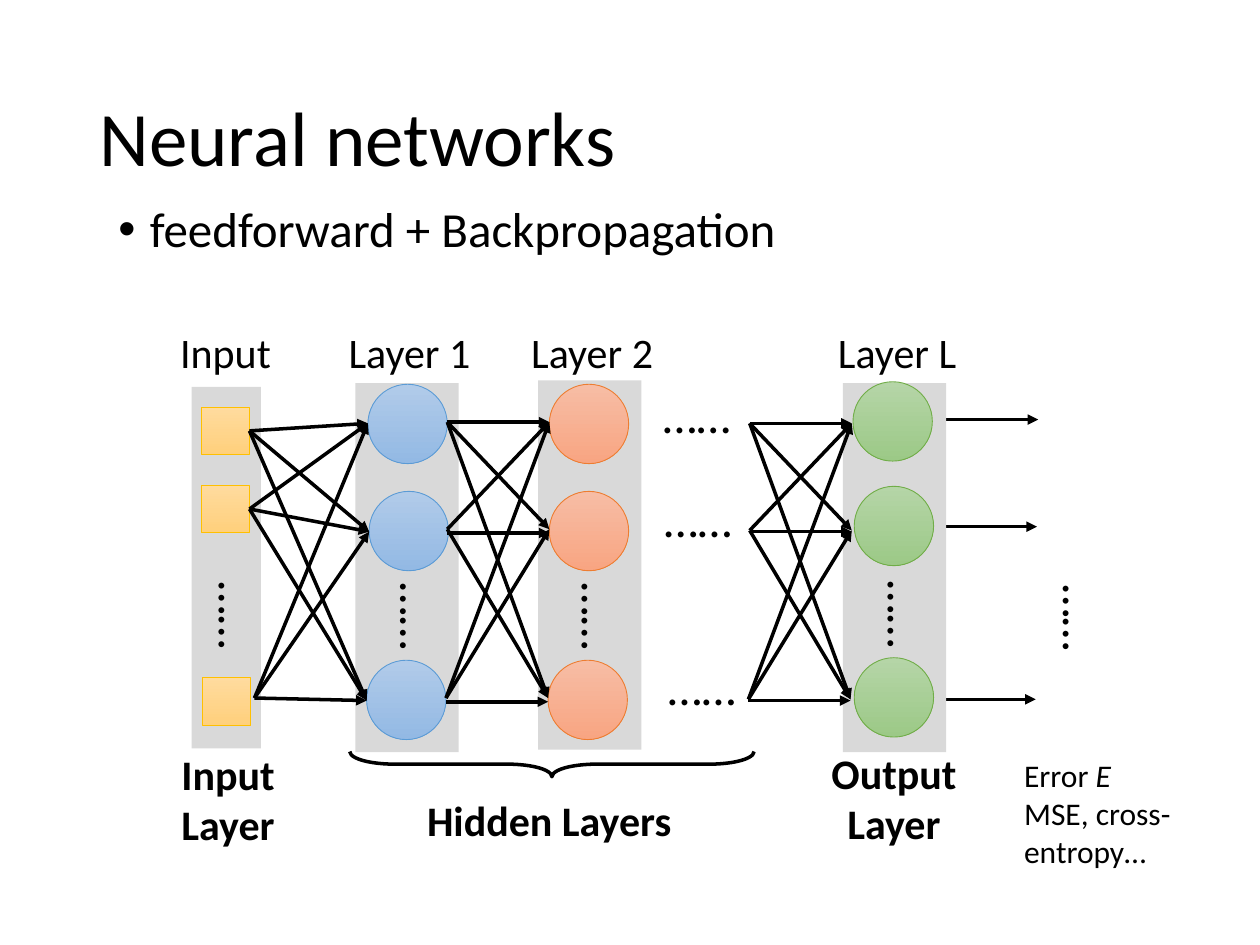
"""Build a slide that shows a layered feedforward neural network."""
from dataclasses import dataclass
from itertools import product
from typing import Optional

from lxml import etree
from pptx import Presentation
from pptx import util as u
from pptx.dml.color import RGBColor
from pptx.enum import shapes, text
from pptx.oxml.ns import qn

COLUMNS, ROWS = 100, 75
BLACK, BAND = "000000", "D9D9D9"
ARROW_WIDTH = 2
NODE, SQUARE = 6.3, 3.8
BAND_WIDTH, BAND_HEIGHT = 8.2, 29.3
LABEL_TOP, LABEL_WIDTH, LABEL_HEIGHT = 25.4, 12.4, 5
DOTS_WIDTH, DOTS_HEIGHT = 8.4, 5.7

presentation = Presentation()
presentation.slide_width, presentation.slide_height = u.Inches(10), u.Inches(7.5)
slide = presentation.slides.add_slide(presentation.slide_layouts[1])


@dataclass(frozen=True)
class Palette:
    """Gradient ends and outline of one kind of node."""
    top: str
    bottom: str
    line: str


@dataclass(frozen=True)
class Layer:
    """A band of round nodes with a heading."""
    name: str
    left: float
    top: float
    nodes: tuple
    dots_top: float
    palette: Palette


@dataclass(frozen=True)
class Fan:
    """Arrows from every start to every end; level ones sit lower by drop."""
    starts: tuple
    ends: tuple
    drop: float = 0
    squares: tuple = ()


@dataclass(frozen=True)
class Caption:
    """A text box on the grid."""
    words: str
    box: tuple
    size: int = 24
    bold: bool = False
    rotation: int = 0


YELLOW = Palette("FFDB9E", "FFD07C", "FFC000")
BLUE = Palette("B1CBE9", "93B9E4", "5B9BD5")
ORANGE = Palette("F7BDA5", "F8A582", "ED7D31")
GREEN = Palette("B5D5A7", "9CC987", "70AD47")

LAYERS = (
    Layer("Layer 1", 28.2, 30.4, ((29.2, 30.5), (29.3, 39), (29.1, 52.4)), 46.1, BLUE),
    Layer("Layer 2", 42.7, 30.2, ((43.6, 30.5), (43.6, 39), (43.5, 52.4)), 46.1, ORANGE),
    Layer("Layer L", 66.9, 30.4, ((67.7, 30.3), (67.8, 38.6), (67.8, 52.2)), 45.9, GREEN),
)
INPUTS = ((16, 32.3), (16, 38.5), (16.1, 53.8))
OUTPUTS = (((71.1, 41.8), (82.3, 41.8)), ((72.3, 55.5), (82.2, 55.5)),
           ((70.9, 33.3), (82.4, 33.3)))
HIDDEN_FANS = (
    Fan(((35.5, 33.5), (35.5, 42), (35.4, 55.4)), ((43.6, 33.5), (43.6, 42), (43.5, 55.4)), 0.3),
    Fan(((59.5, 33.6), (59.5, 42.1), (59.4, 55.5)), ((67.6, 33.6), (67.6, 42.1), (67.5, 55.5)), 0.1),
)
CAPTIONS = (
    Caption("Output Layer", (64.6, 58.8, 12.7, 9.1), bold=True),
    Caption("Hidden Layers", (32.3, 62.6, 22.6, 5), bold=True),
    Caption("Input Layer", (13, 58.9, 10.2, 9.1), bold=True),
    Caption("Input", (11.7, LABEL_TOP, LABEL_WIDTH, LABEL_HEIGHT)),
)
GAP_DOTS = ((51.1, 30), (51.2, 38.3), (51.5, 51.6))
SIDE_DOTS = ((14.7, 46), (81.7, 46.2))


def color(value: str) -> RGBColor:
    """Turn a hex string into a colour."""
    return RGBColor.from_string(value)


def grid(*lengths: float) -> list:
    """Turn alternating column and row counts into slide lengths."""
    units = (presentation.slide_width / COLUMNS, presentation.slide_height / ROWS)
    return [round(length * units[i % 2]) for i, length in enumerate(lengths)]


def format_font(font, **values) -> None:
    """Set the shared font and the given values."""
    font.color.rgb = color(BLACK)
    for name, value in {"name": "Calibri", **values}.items():
        setattr(font, name, value)


def add_band(left: float, top: float, width: float, height: float) -> None:
    """Draw the grey strip behind a layer."""
    band = slide.shapes.add_shape(shapes.MSO_SHAPE.RECTANGLE, *grid(left, top, width, height))
    band.shadow.inherit = False
    band.fill.solid()
    band.fill.fore_color.rgb = color(BAND)
    band.line.fill.background()


def add_node(preset, place: tuple, size: float, palette: Palette):
    """Draw one gradient node."""
    node = slide.shapes.add_shape(preset, *grid(*place, size, size))
    node.shadow.inherit = False
    node.fill.gradient()
    node.fill.gradient_angle = 270
    for stop, value in zip(node.fill.gradient_stops, (palette.top, palette.bottom)):
        stop.color.rgb = color(value)
    for stop, position in zip(node.fill.gradient_stops, (0, 1)):
        stop.position = position
    node.line.color.rgb = color(palette.line)
    node.line.width = u.Pt(0.5)
    return node


def add_arrow(start: tuple, end: tuple, source: Optional[object] = None) -> None:
    """Draw an arrow, joined to the right side of its source if there is one."""
    arrow = slide.shapes.add_connector(shapes.MSO_CONNECTOR.STRAIGHT, *grid(*start, *end))
    if source is not None:
        arrow.begin_connect(source, 3)
    arrow.line.color.rgb = color(BLACK)
    arrow.line.width = u.Pt(ARROW_WIDTH)
    etree.SubElement(arrow.line._get_or_add_ln(), qn("a:tailEnd"), type="triangle")
    etree.SubElement(arrow._element.spPr, qn("a:effectLst"))


def add_fan(fan: Fan) -> None:
    """Draw all arrows between two layers."""
    for i, j in product(range(len(fan.starts)), range(len(fan.ends))):
        (x1, y1), (x2, y2) = fan.starts[i], fan.ends[j]
        drop = fan.drop if i == j and i > 0 else 0
        source = fan.squares[i] if i < len(fan.squares) else None
        add_arrow((x1, y1 + drop), (x2, y2 + drop), source)


def add_text_box(box: tuple):
    """Add an empty wrapping text box and return it."""
    shape = slide.shapes.add_textbox(*grid(*box))
    shape.text_frame.word_wrap = True
    shape.text_frame.auto_size = text.MSO_AUTO_SIZE.SHAPE_TO_FIT_TEXT
    return shape


def add_caption(caption: Caption) -> None:
    """Write one centred caption."""
    shape = add_text_box(caption.box)
    shape.rotation = caption.rotation
    paragraph = shape.text_frame.paragraphs[0]
    paragraph.text = caption.words
    paragraph.alignment = text.PP_ALIGN.CENTER
    format_font(paragraph.font, size=u.Pt(caption.size), bold=caption.bold)


def add_dots(left: float, top: float, rotation: int = 0) -> None:
    """Write an ellipsis, upright or turned."""
    add_caption(Caption("……", (left, top, DOTS_WIDTH, DOTS_HEIGHT), 28, rotation=rotation))


def add_layer(layer: Layer) -> None:
    """Draw a band with its heading, nodes and dots."""
    add_band(layer.left, layer.top, BAND_WIDTH, BAND_HEIGHT)
    add_caption(Caption(layer.name, (layer.left - 1.9, LABEL_TOP, LABEL_WIDTH, LABEL_HEIGHT)))
    for place in layer.nodes:
        add_node(shapes.MSO_SHAPE.OVAL, place, NODE, layer.palette)
    add_dots(layer.nodes[-1][0], layer.dots_top, 90)


def fill_placeholder(shape, words: str, box: tuple, size: int, anchor, bullet: bool) -> None:
    """Move a placeholder and write its single paragraph."""
    shape.left, shape.top, shape.width, shape.height = grid(*box)
    shape.text_frame.vertical_anchor = anchor
    paragraph = shape.text_frame.paragraphs[0]
    paragraph.text = words
    values = {"alignment": text.PP_ALIGN.LEFT, "line_spacing": 0.9, "space_before": u.Pt(0)}
    for name, value in values.items():
        setattr(paragraph, name, value)
    if bullet:
        properties = paragraph._p.get_or_add_pPr()
        properties.set("marL", str(u.Inches(0.25)))
        properties.set("indent", str(u.Inches(-0.25)))
        etree.SubElement(properties, qn("a:buFont"), typeface="Arial")
        etree.SubElement(properties, qn("a:buChar"), char="•")
    format_font(paragraph.font, size=u.Pt(size))


def add_brace() -> None:
    """Draw the brace under the hidden layers."""
    brace = slide.shapes.add_shape(shapes.MSO_SHAPE.RIGHT_BRACE, *grid(42.8, 44.6, 2, 32.1))
    brace.rotation = 90
    brace.shadow.inherit = False
    brace.adjustments[0], brace.adjustments[1] = 1.76, 0.5
    brace.fill.background()
    brace.line.color.rgb = color(BLACK)
    brace.line.width = u.Pt(ARROW_WIDTH)


def add_error_note() -> None:
    """Write the note on the error measure."""
    frame = add_text_box((80.3, 59.5, 15.3, 10.1)).text_frame
    for paragraph, runs in ((frame.paragraphs[0], (("Error ", False), ("E", True))),
                            (frame.add_paragraph(), (("MSE, cross-entropy…", False),))):
        for words, italic in runs:
            run = paragraph.add_run()
            run.text = words
            format_font(run.font, size=u.Pt(18), italic=italic)


def main() -> None:
    """Draw the slide from back to front and save it."""
    title, body = slide.placeholders
    fill_placeholder(title, "Neural networks", (6.9, 4, 86.2, 14.5), 44,
                     text.MSO_ANCHOR.MIDDLE, False)
    fill_placeholder(body, "feedforward + Backpropagation", (8.4, 15.8, 86.2, 47.6), 28,
                     text.MSO_ANCHOR.TOP, True)
    add_brace()
    add_band(15.2, 30.7, 5.5, 28.7)
    for caption in CAPTIONS:
        add_caption(caption)
    for start, end in OUTPUTS:
        add_arrow(start, end)
    squares = [add_node(shapes.MSO_SHAPE.RECTANGLE, place, SQUARE, YELLOW) for place in INPUTS]
    for layer in LAYERS:
        add_layer(layer)
    for place in GAP_DOTS:
        add_dots(*place)
    for place in SIDE_DOTS:
        add_dots(*place, 90)
    input_fan = Fan(((19.8, 34.2), (19.8, 40.4), (20.2, 55.4)),
                    ((29.2, 33.6), (29.3, 42.2), (29.1, 55.6)), squares=tuple(squares[:2]))
    for fan in (input_fan, *HIDDEN_FANS):
        add_fan(fan)
    add_error_note()
    presentation.save("out.pptx")


if __name__ == "__main__":
    main()
